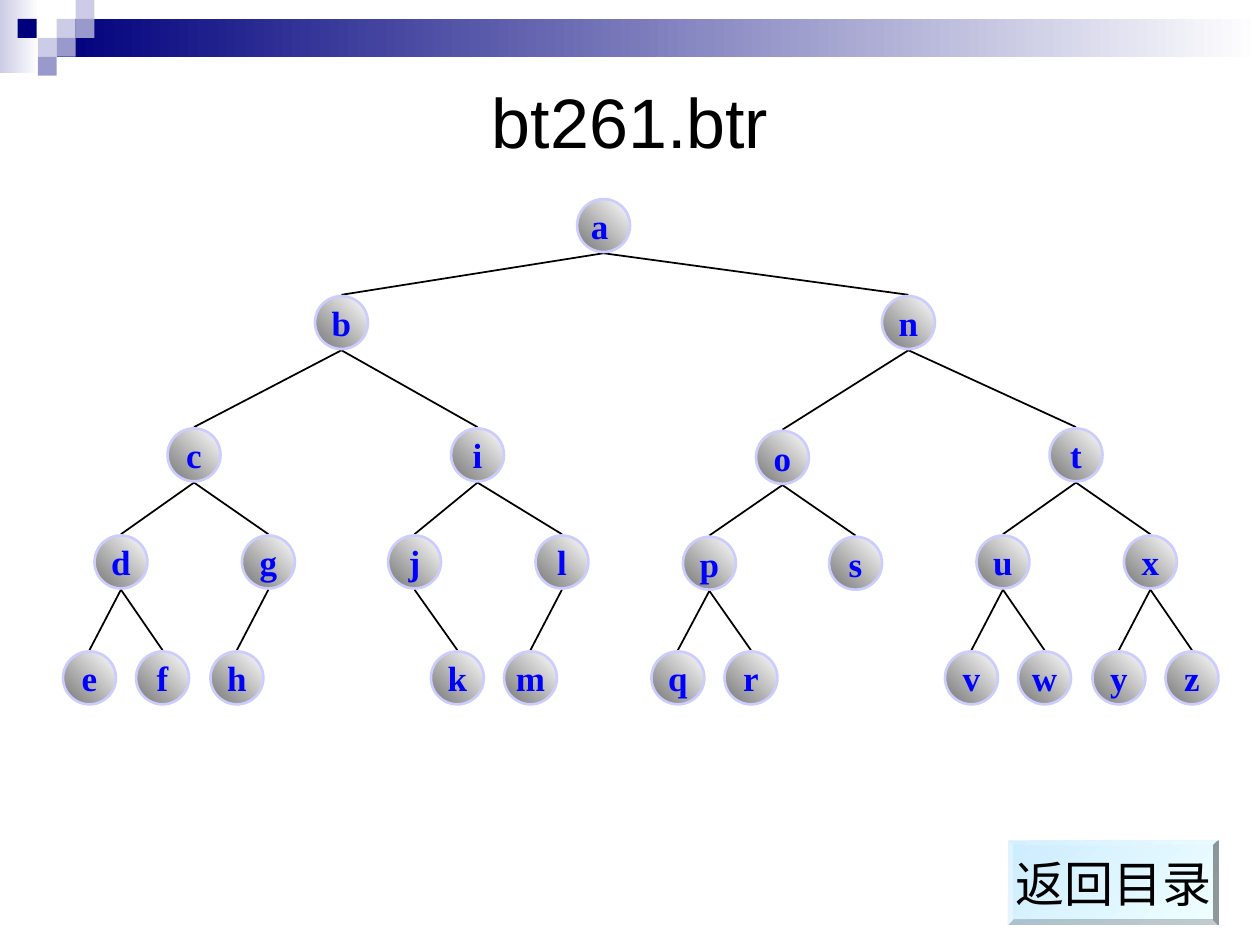
from dataclasses import dataclass

from lxml.etree import SubElement
from pptx import Presentation
from pptx.dml.color import RGBColor
from pptx.enum.shapes import MSO_CONNECTOR, MSO_SHAPE
from pptx.enum.text import MSO_ANCHOR, PP_ALIGN
from pptx.oxml.ns import qn
from pptx.util import Inches, Pt


@dataclass(frozen=True)
class Theme:
    """Colours, fonts and type sizes of the slide."""

    navy: str = "00007D"
    violet: str = "9999CC"
    lavender: str = "CCCCE6"
    white: str = "FFFFFF"
    black: str = "000000"
    node_fill: tuple = ("767676", "FFFFFF")
    node_outline: str = "CCCCFF"
    node_text: str = "0000FF"
    button_fill: tuple = ("CCECFF", "F0FFFF")
    sans: str = "Arial"
    serif: str = "Times New Roman"
    title_size: int = 40
    button_size: int = 28
    node_size: int = 20
    space_size: int = 18


THEME = Theme()
NODE_SIZE = 0.42
LINE_GAP = 0.01
SQUARE = 0.15

NODES = {
    "a": (4.58, 1.58),
    "b": (2.5, 2.35), "n": (7, 2.35),
    "c": (1.33, 3.4), "i": (3.58, 3.4), "o": (6, 3.42), "t": (8.33, 3.4),
    "d": (0.75, 4.25), "g": (1.92, 4.25), "j": (3.08, 4.25), "l": (4.25, 4.25),
    "p": (5.42, 4.26), "s": (6.58, 4.26), "u": (7.75, 4.25), "x": (8.92, 4.25),
    "e": (0.5, 5.17), "f": (1.08, 5.17), "h": (1.67, 5.17), "k": (3.42, 5.17),
    "m": (4, 5.17), "q": (5.17, 5.17), "r": (5.75, 5.17), "v": (7.5, 5.17),
    "w": (8.08, 5.17), "y": (8.67, 5.17), "z": (9.25, 5.17),
}

CHILDREN = {
    "a": "bn", "b": "ci", "n": "ot", "c": "dg", "i": "jl", "o": "ps", "t": "ux",
    "d": "ef", "g": "h", "j": "k", "l": "m", "p": "qr", "u": "vw", "x": "yz",
}


def rgb(code):
    """Turn a hex code into a colour."""
    return RGBColor.from_string(code)


def write(box, text, *, size, font, color, bold=False):
    """Append centred text in the given format to the first paragraph of a box."""
    frame = box.text_frame
    frame.vertical_anchor = MSO_ANCHOR.MIDDLE
    para = frame.paragraphs[0]
    para.alignment = PP_ALIGN.CENTER
    span = para.add_run()
    span.text = text
    span.font.size = Pt(size)
    span.font.name = font
    span.font.bold = bold
    span.font.color.rgb = rgb(color)


def add_block(shapes, kind, left, top, width, height, *, fill, angle=0, outline=None):
    """Add a preset shape with a solid colour or a two-colour gradient."""
    block = shapes.add_shape(kind, Inches(left), Inches(top), Inches(width), Inches(height))
    block.shadow.inherit = False
    block.text_frame.word_wrap = False
    if isinstance(fill, tuple):
        block.fill.gradient()
        block.fill.gradient_angle = angle
        for stop, color in zip(block.fill.gradient_stops, fill):
            stop.color.rgb = rgb(color)
    else:
        block.fill.solid()
        block.fill.fore_color.rgb = rgb(fill)
    if outline:
        block.line.color.rgb = rgb(outline)
        block.line.width = Pt(1.5)
    else:
        block.line.fill.background()
    return block


def add_banner(page):
    """Draw the gradient bar and the chequered corner."""
    shapes = page.shapes.add_group_shape().shapes
    bars = [
        (0, 0, 0.31, 0.58, THEME.lavender),
        (0.45, 0.15, 9.55, 0.3, THEME.navy),
    ]
    for left, top, width, height, start in bars:
        add_block(shapes, MSO_SHAPE.RECTANGLE, left, top, width, height,
                  fill=(start, THEME.white))
    squares = [
        (0.45, 0.15, THEME.lavender), (0.6, 0, THEME.lavender),
        (0.6, 0.15, THEME.violet), (0.3, 0.3, THEME.lavender),
        (0.14, 0.15, THEME.navy), (0.45, 0.3, THEME.violet),
        (0.3, 0.45, THEME.violet),
    ]
    for left, top, color in squares:
        add_block(shapes, MSO_SHAPE.RECTANGLE, left, top, SQUARE, SQUARE, fill=color)


def add_title(page, text):
    """Place and fill the title placeholder."""
    title = page.shapes.title
    title.left, title.top = Inches(0.5), Inches(0.5)
    title.width, title.height = Inches(9), Inches(0.92)
    write(title, text, size=THEME.title_size, font=THEME.sans, color=THEME.black)


def add_button(page, text):
    """Add the bevelled button in the lower right corner."""
    button = add_block(page.shapes, MSO_SHAPE.BEVEL, 8, 6.67, 1.67, 0.67,
                       fill=THEME.button_fill, angle=315)
    button.adjustments[0] = 0.06
    write(button, text, size=THEME.button_size, font=THEME.sans, color=THEME.black)


def add_branch(page, parent, child):
    """Join the bottom of a parent node to the top of its child."""
    (parent_left, parent_top), (child_left, child_top) = NODES[parent], NODES[child]
    radius = NODE_SIZE / 2
    branch = page.shapes.add_connector(
        MSO_CONNECTOR.STRAIGHT,
        Inches(parent_left + radius), Inches(parent_top + NODE_SIZE + LINE_GAP),
        Inches(child_left + radius), Inches(child_top - LINE_GAP))
    branch.line.color.rgb = rgb(THEME.black)
    branch.line.width = Pt(1)
    SubElement(branch._element.spPr, qn("a:effectLst"))


def add_node(page, letter):
    """Add one round tree node with its letter."""
    left, top = NODES[letter]
    node = add_block(page.shapes, MSO_SHAPE.OVAL, left, top, NODE_SIZE, NODE_SIZE,
                     fill=THEME.node_fill, angle=45, outline=THEME.node_outline)
    style = {"font": THEME.serif, "color": THEME.node_text, "bold": True}
    write(node, letter, size=THEME.node_size, **style)
    if letter == "a":
        write(node, " ", size=THEME.space_size, **style)


def main():
    """Build the slide and save the deck."""
    deck = Presentation()
    deck.slide_width, deck.slide_height = Inches(10), Inches(7.5)
    page = deck.slides.add_slide(deck.slide_layouts[5])
    add_banner(page)
    add_title(page, "bt261.btr")
    add_button(page, "返回目录")
    for parent, children in CHILDREN.items():
        for child in children:
            add_branch(page, parent, child)
    for letter in NODES:
        add_node(page, letter)
    deck.save("out.pptx")


if __name__ == "__main__":
    main()
